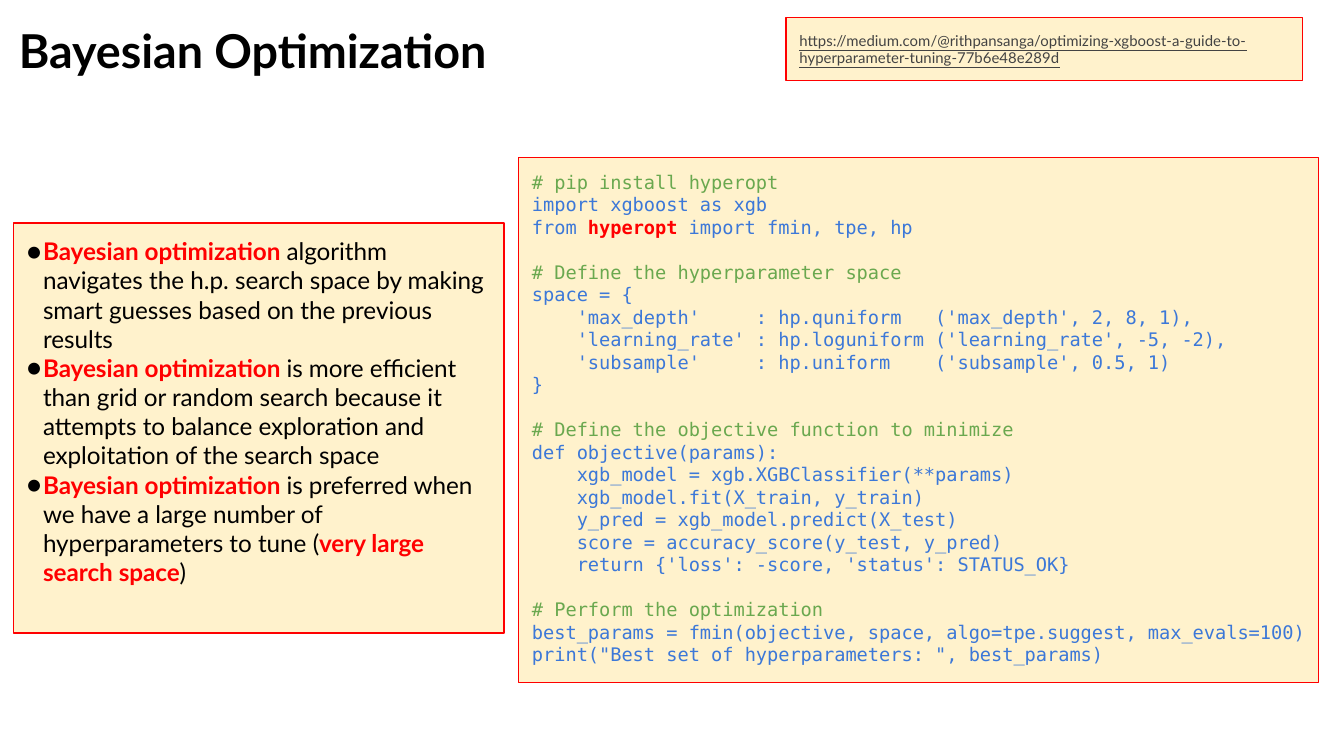
from lxml import etree
from pptx import Presentation
from pptx import util as u
from pptx.dml.color import RGBColor
from pptx.enum import shapes, text
from pptx.oxml.ns import qn

BLACK = RGBColor(0x00, 0x00, 0x00)
RED = RGBColor(0xFF, 0x00, 0x00)
CREAM = RGBColor(0xFF, 0xF2, 0xCC)
GRAY = RGBColor(0x43, 0x43, 0x43)
GREEN = RGBColor(0x6A, 0xA8, 0x4F)
BLUE = RGBColor(0x3C, 0x78, 0xD8)
SANS, MONO = "Lato", "DejaVu Sans Mono"
PITCH = u.Pt(12.05)  # height of one code line

LINK = ("https://medium.com/@rithpansanga/optimizing-xgboost-a-guide-to-"
        "hyperparameter-tuning-77b6e48e289d")

# Words between asterisks are bold and red
POINTS = [
    "*Bayesian optimization* algorithm navigates the h.p. search space by "
    "making smart guesses based on the previous results",
    "*Bayesian optimization* is more efficient than grid or random search "
    "because it attempts to balance exploration and exploitation of the search space",
    "*Bayesian optimization* is preferred when we have a large number of "
    "hyperparameters to tune (*very large search space*)",
]

CODE = """# pip install hyperopt
import xgboost as xgb
from hyperopt import fmin, tpe, hp

# Define the hyperparameter space
space = {
    'max_depth'     : hp.quniform   ('max_depth', 2, 8, 1),
    'learning_rate' : hp.loguniform ('learning_rate', -5, -2),
    'subsample'     : hp.uniform    ('subsample', 0.5, 1)
}

# Define the objective function to minimize
def objective(params):
    xgb_model = xgb.XGBClassifier(**params)
    xgb_model.fit(X_train, y_train)
    y_pred = xgb_model.predict(X_test)
    score = accuracy_score(y_test, y_pred)
    return {'loss': -score, 'status': STATUS_OK}

# Perform the optimization
best_params = fmin(objective, space, algo=tpe.suggest, max_evals=100)
print("Best set of hyperparameters: ", best_params)"""


def place(shape, box):
    for name, val in zip(("left", "top", "width", "height"), box):
        setattr(shape, name, u.Inches(val))


def frame(shape, anchor=text.MSO_ANCHOR.TOP):
    body = shape.text_frame
    fmt = {"word_wrap": True, "auto_size": text.MSO_AUTO_SIZE.NONE,
           "vertical_anchor": anchor}
    for side in ("left", "top", "right", "bottom"):
        fmt["margin_" + side] = u.Inches(0.1)
    for name, val in fmt.items():
        setattr(body, name, val)
    return body


def paint(shape):
    shape.fill.solid()
    shape.fill.fore_color.rgb = CREAM
    shape.line.color.rgb = RED
    shape.line.width = u.Pt(0.75)


def panel(slide, box):
    shape = slide.shapes.add_shape(
        shapes.MSO_SHAPE.RECTANGLE, *[u.Inches(val) for val in box])
    shape.shadow.inherit = False
    paint(shape)
    return shape


def line(body, num):
    para = body.paragraphs[0] if num == 0 else body.add_paragraph()
    para.alignment = text.PP_ALIGN.LEFT
    para.space_before = para.space_after = u.Pt(0)
    return para


def write(para, words, color, **fmt):
    run = para.add_run()
    run.text = words
    run.font.color.rgb = color
    for name, val in fmt.items():
        setattr(run.font, name, val)


def mark(para, words, color, key, **fmt):
    """Write words, with every second part between keys bold and red."""
    for num, part in enumerate(words.split(key)):
        bold = num % 2 == 1
        if part:
            write(para, part, RED if bold else color, bold=bold, **fmt)


def bullet(para):
    props = para._p.get_or_add_pPr()
    props.set("marL", str(u.Inches(0.12)))
    props.set("indent", str(u.Inches(-0.15)))
    tint = etree.SubElement(props, qn("a:buClr"))
    etree.SubElement(tint, qn("a:srgbClr"), val=str(BLACK))
    etree.SubElement(props, qn("a:buFont"), typeface=SANS)
    etree.SubElement(props, qn("a:buChar"), char="●")


def title(slide, box):
    shape = slide.shapes.title
    place(shape, box)
    para = line(frame(shape, text.MSO_ANCHOR.MIDDLE), 0)
    write(para, "Bayesian Optimization", BLACK, name=SANS, size=u.Pt(25), bold=True)


def link(slide, box):
    body = frame(panel(slide, box), text.MSO_ANCHOR.MIDDLE)
    write(line(body, 0), LINK, GRAY, name=SANS, size=u.Pt(8), underline=True)


def points(slide, box):
    shape = slide.placeholders[1]
    place(shape, box)
    paint(shape)
    body = frame(shape)
    for num, words in enumerate(POINTS):
        para = line(body, num)
        bullet(para)
        mark(para, words, BLACK, "*", name=SANS, size=u.Pt(13))


def code(slide, box):
    body = frame(panel(slide, box))
    blocks = [block.split("\n") for block in CODE.split("\n\n")]
    num = 0
    for block in blocks:
        for row, words in enumerate(block):
            para = line(body, num)
            para.line_spacing = PITCH
            if row == 0 and num > 0:  # gap between blocks
                para.space_before = PITCH
            color = GREEN if words.startswith("#") else BLUE
            if words.startswith("from"):
                words = words.replace("hyperopt", "|hyperopt|")
            mark(para, words, color, "|", name=MONO, size=u.Pt(10))
            num += 1


def main():
    deck = Presentation()
    deck.slide_width = u.Inches(10)
    deck.slide_height = deck.slide_width * 9 // 16
    slide = deck.slides.add_slide(deck.slide_layouts[1])
    code(slide, (3.86, 1.17, 5.95, 3.91))
    title(slide, (0.04, 0.06, 4.4, 0.62))
    link(slide, (5.85, 0.13, 3.84, 0.47))
    points(slide, (0.1, 1.66, 3.65, 3.05))
    deck.save("out.pptx")


if __name__ == "__main__":
    main()
